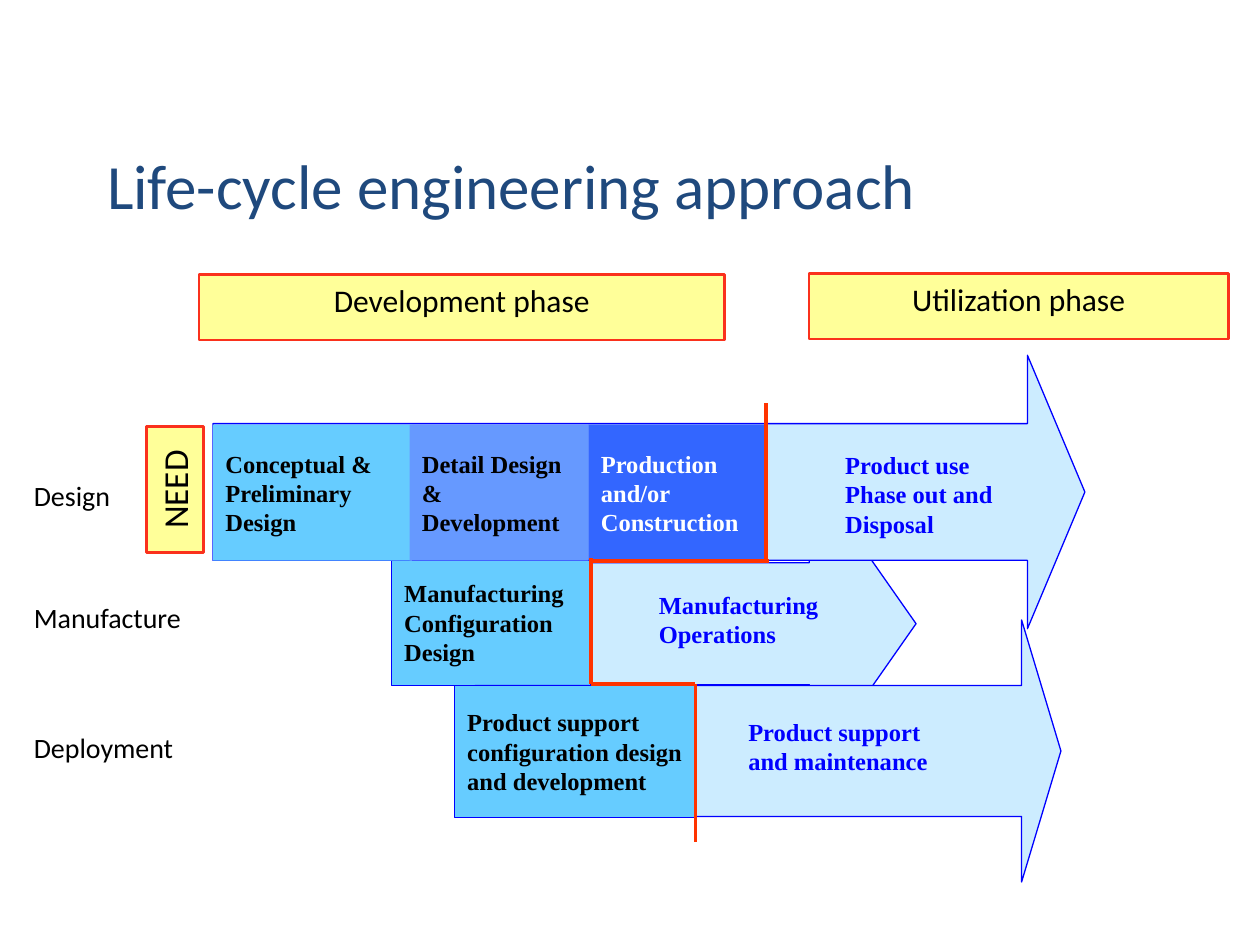
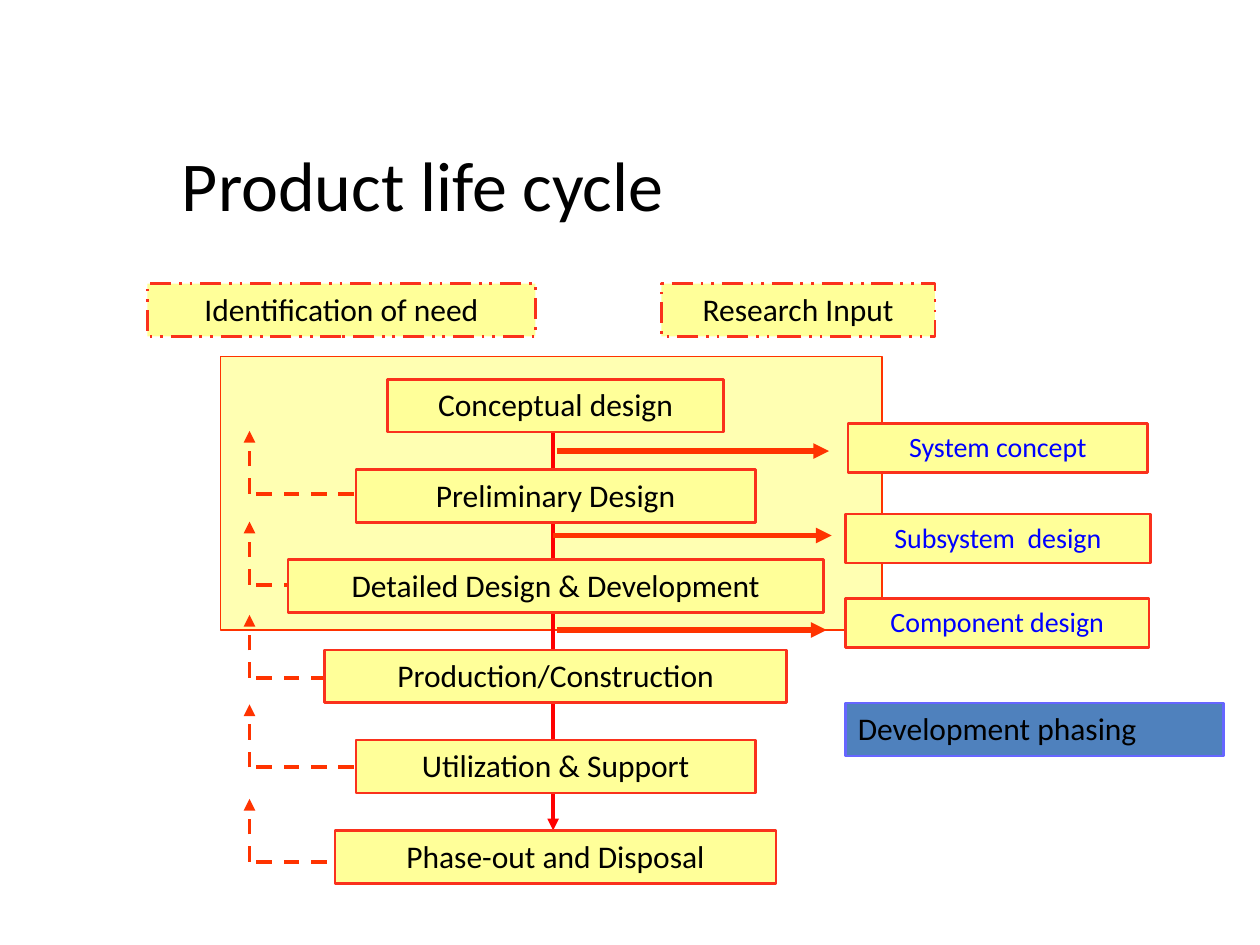
from lxml import etree
from pptx import Presentation
from pptx.dml.color import RGBColor
from pptx.enum.dml import MSO_LINE
from pptx.enum.shapes import MSO_CONNECTOR, MSO_SHAPE
from pptx.enum.text import MSO_ANCHOR, MSO_AUTO_SIZE, PP_ALIGN
from pptx.oxml.ns import qn
from pptx.util import Inches, Pt

RECTANGLE, RIGHT_ARROW = MSO_SHAPE.RECTANGLE, MSO_SHAPE.RIGHT_ARROW
STRAIGHT = MSO_CONNECTOR.STRAIGHT
DASH, DASH_DOT_DOT = MSO_LINE.DASH, MSO_LINE.DASH_DOT_DOT
TOP, MIDDLE, BOTTOM = MSO_ANCHOR.TOP, MSO_ANCHOR.MIDDLE, MSO_ANCHOR.BOTTOM
LEFT, CENTER = PP_ALIGN.LEFT, PP_ALIGN.CENTER
NO_FIT = MSO_AUTO_SIZE.NONE

BLACK = RGBColor(0x00, 0x00, 0x00)
WHITE = RGBColor(0xFF, 0xFF, 0xFF)
NAVY = RGBColor(0x1F, 0x49, 0x7D)
BLUE = RGBColor(0x00, 0x00, 0xFF)
PALE_BLUE = RGBColor(0xCC, 0xEC, 0xFF)
SKY = RGBColor(0x66, 0xCC, 0xFF)
PERIWINKLE = RGBColor(0x66, 0x99, 0xFF)
ROYAL = RGBColor(0x33, 0x66, 0xFF)
STEEL = RGBColor(0x4F, 0x81, 0xBD)
VIOLET = RGBColor(0x66, 0x66, 0xFF)
YELLOW = RGBColor(0xFF, 0xFF, 0x99)
BRIGHT_YELLOW = RGBColor(0xFF, 0xFF, 0x66)
BOX_RED = RGBColor(0xFA, 0x31, 0x1C)
ORANGE_RED = RGBColor(0xFF, 0x33, 0x00)
RED = RGBColor(0xFF, 0x00, 0x00)

SANS, SERIF = "Calibri", "Times New Roman"

PHASES = [
    ("Development phase", (1.58, 2.18, 4.17, 0.52)),
    ("Utilization phase", (6.42, 2.17, 3.33, 0.52)),
]
TRACK_LABELS = [("Design", 3.75), ("Manufacture", 4.72), ("Deployment", 5.75)]
TRACKS = [
    {
        "arrow": ((3.19, 3.74, 4.08, 2.42), 0.4, 0.35),
        "outcome": ("Manufacturing\nOperations", (5.13, 4.63, 1.75, 0.57)),
        "steps": [("Manufacturing\nConfiguration\nDesign",
                   (3.11, 4.44, 1.58, 1), SKY, BLACK, BLUE)],
    },
    {
        "arrow": ((3.77, 4.92, 4.65, 2.08), 0.5, 0.15),
        "outcome": ("Product support\nand maintenance", (5.84, 5.64, 1.75, 0.57)),
        "steps": [("Product support\nconfiguration design\nand development",
                   (3.61, 5.44, 1.92, 1.05), SKY, BLACK, BLUE)],
    },
    {
        "arrow": ((1.69, 2.82, 6.92, 2.17), 0.5, 0.21),
        "outcome": ("Product use\nPhase out and\nDisposal", (6.61, 3.52, 1.58, 0.8)),
        "steps": [
            ("Conceptual &\nPreliminary\nDesign",
             (1.69, 3.37, 1.58, 1.08), SKY, BLACK, None),
            ("Detail Design\n&\nDevelopment",
             (3.25, 3.37, 1.42, 1.08), PERIWINKLE, BLACK, None),
            ("Production\nand/or\nConstruction",
             (4.67, 3.37, 1.42, 1.08), ROYAL, WHITE, None),
        ],
    },
]
PHASE_BOUNDARY = [
    ((6.08, 3.2), (6.08, 4.45)),
    ((4.69, 4.43), (4.69, 5.43)),
    ((5.52, 5.43), (5.52, 6.68)),
    ((4.68, 4.45), (6.1, 4.45)),
    ((4.69, 5.43), (5.52, 5.43)),
]

INPUTS = [("Identification of need", 1.17, 3.08), ("Research Input", 5.25, 2.17)]
STAGES = [
    ("Conceptual design", 2.67),
    ("Preliminary Design", 3.17),
    ("Detailed Design & Development", 4.25),
    ("Production/Construction", 3.67),
    ("Utilization & Support", 3.17),
    ("Phase-out and Disposal", 3.5),
]
STAGE_CENTER, STAGE_TOP, STAGE_HEIGHT = 4.41, 3.01, 0.42
STAGE_STEP = (6.59 - STAGE_TOP) / (len(STAGES) - 1)
FEEDBACK_LEVELS = [3.92, 4.64, 5.38, 6.09, 6.84]
FEEDBACK_LEFT, FEEDBACK_RIGHT, FEEDBACK_RISE = 1.98, 2.81, 0.5
RESULTS = [
    ("System concept", (6.73, 3.36, 2.38, 0.39), (4.42, 6.58, 3.58)),
    ("Subsystem  design", (6.71, 4.08, 2.42, 0.39), (4.39, 6.6, 4.25)),
    ("Component design", (6.71, 4.75, 2.41, 0.39), (4.42, 6.56, 5)),
]


def inches(values):
    return [Inches(value) for value in values]


def write(shape, text, size, color, font=SANS, bold=False,
          align=LEFT, anchor=TOP, wrap=True):
    frame = shape.text_frame
    frame.auto_size = NO_FIT
    frame.word_wrap = wrap
    frame.vertical_anchor = anchor
    paragraph = frame.paragraphs[0]
    paragraph.alignment = align
    for index, line in enumerate(text.split("\n")):
        if index:
            paragraph.add_line_break()
        run = paragraph.add_run()
        run.text = line
        run.font.name = font
        run.font.size = Pt(size)
        run.font.bold = bold
        run.font.color.rgb = color


def add_title(slide, text, box, size, color, align, anchor):
    title = slide.shapes.title
    title.left, title.top, title.width, title.height = inches(box)
    write(title, text, size, color, align=align, anchor=anchor)


def add_box(slide, box, fill, line, width=0.75, kind=RECTANGLE):
    shape = slide.shapes.add_shape(kind, *inches(box))
    shape.shadow.inherit = False
    shape.fill.solid()
    shape.fill.fore_color.rgb = fill
    if line is None:
        shape.line.fill.background()
    else:
        shape.line.color.rgb = line
        shape.line.width = Pt(width)
    return shape


def add_label_box(slide, text, box, size=18, color=BLACK):
    shape = add_box(slide, box, YELLOW, BOX_RED, 1.5)
    write(shape, text, size, color, align=CENTER)
    return shape


def add_text(slide, text, box, size, color, **style):
    write(slide.shapes.add_textbox(*inches(box)), text, size, color, **style)


def add_line(slide, start, end, color=ORANGE_RED, width=2.25, dash=None, arrow=False):
    connector = slide.shapes.add_connector(STRAIGHT, *inches(start + end))
    connector.line.color.rgb = color
    connector.line.width = Pt(width)
    if dash is not None:
        connector.line.dash_style = dash
    properties = connector._element.spPr
    if arrow:
        etree.SubElement(properties.find(qn("a:ln")), qn("a:tailEnd"), type="triangle")
    etree.SubElement(properties, qn("a:effectLst"))


def build_approach(slide):
    add_title(slide, "Life-cycle engineering approach", (0.75, 1.11, 8.5, 0.7),
              36, NAVY, LEFT, BOTTOM)
    for text, box in PHASES:
        add_label_box(slide, text, box)
    for track in TRACKS:
        box, shaft, head = track["arrow"]
        arrow = add_box(slide, box, PALE_BLUE, BLUE, kind=RIGHT_ARROW)
        arrow.adjustments[0] = shaft
        arrow.adjustments[1] = head
        text, box = track["outcome"]
        add_text(slide, text, box, 14, BLUE, font=SERIF, bold=True)
        for text, box, fill, color, line in track["steps"]:
            step = add_box(slide, box, fill, line)
            write(step, text, 14, color, SERIF, True, anchor=MIDDLE, wrap=False)
    need = add_label_box(slide, "NEED", (0.89, 3.66, 1, 0.45), 20)
    need.rotation = 270
    for start, end in PHASE_BOUNDARY:
        add_line(slide, start, end)
    for text, top in TRACK_LABELS:
        add_text(slide, text, (0.17, top, 1.75, 0.37), 16, BLACK)


def build_cycle(slide):
    add_title(slide, "Product life cycle", (0.79, 1.07, 5.13, 0.77),
              40, BLACK, CENTER, MIDDLE)
    design_area = add_box(slide, (1.75, 2.83, 5.25, 2.17), BRIGHT_YELLOW, ORANGE_RED)
    fill_color = design_area._element.spPr.find(qn("a:solidFill"))[0]
    etree.SubElement(fill_color, qn("a:alpha"), val="50000")
    add_line(slide, (4.39, 3.42), (4.39, 6.59), RED, arrow=True)

    for text, left, width in INPUTS:
        box = add_label_box(slide, text, (left, 2.25, width, STAGE_HEIGHT))
        box.line.dash_style = DASH_DOT_DOT
    for level in FEEDBACK_LEVELS:
        corner = (FEEDBACK_LEFT, level)
        add_line(slide, (FEEDBACK_RIGHT, level), corner, dash=DASH)
        add_line(slide, corner, (FEEDBACK_LEFT, level - FEEDBACK_RISE),
                 dash=DASH, arrow=True)
    for index, (text, width) in enumerate(STAGES):
        top = STAGE_TOP + index * STAGE_STEP
        add_label_box(slide, text, (STAGE_CENTER - width / 2, top, width, STAGE_HEIGHT))
    for text, box, (start, end, level) in RESULTS:
        add_line(slide, (start, level), (end, level), width=3, arrow=True)
        add_label_box(slide, text, box, 16, BLUE)
    phasing = add_box(slide, (6.71, 5.58, 3, STAGE_HEIGHT), STEEL, VIOLET, 1.5)
    write(phasing, "Development phasing", 18, BLACK)


presentation = Presentation()
presentation.slide_width, presentation.slide_height = Inches(10), Inches(7.5)
title_only = presentation.slide_layouts[5]
for build in (build_approach, build_cycle):
    build(presentation.slides.add_slide(title_only))
presentation.save("out.pptx")
